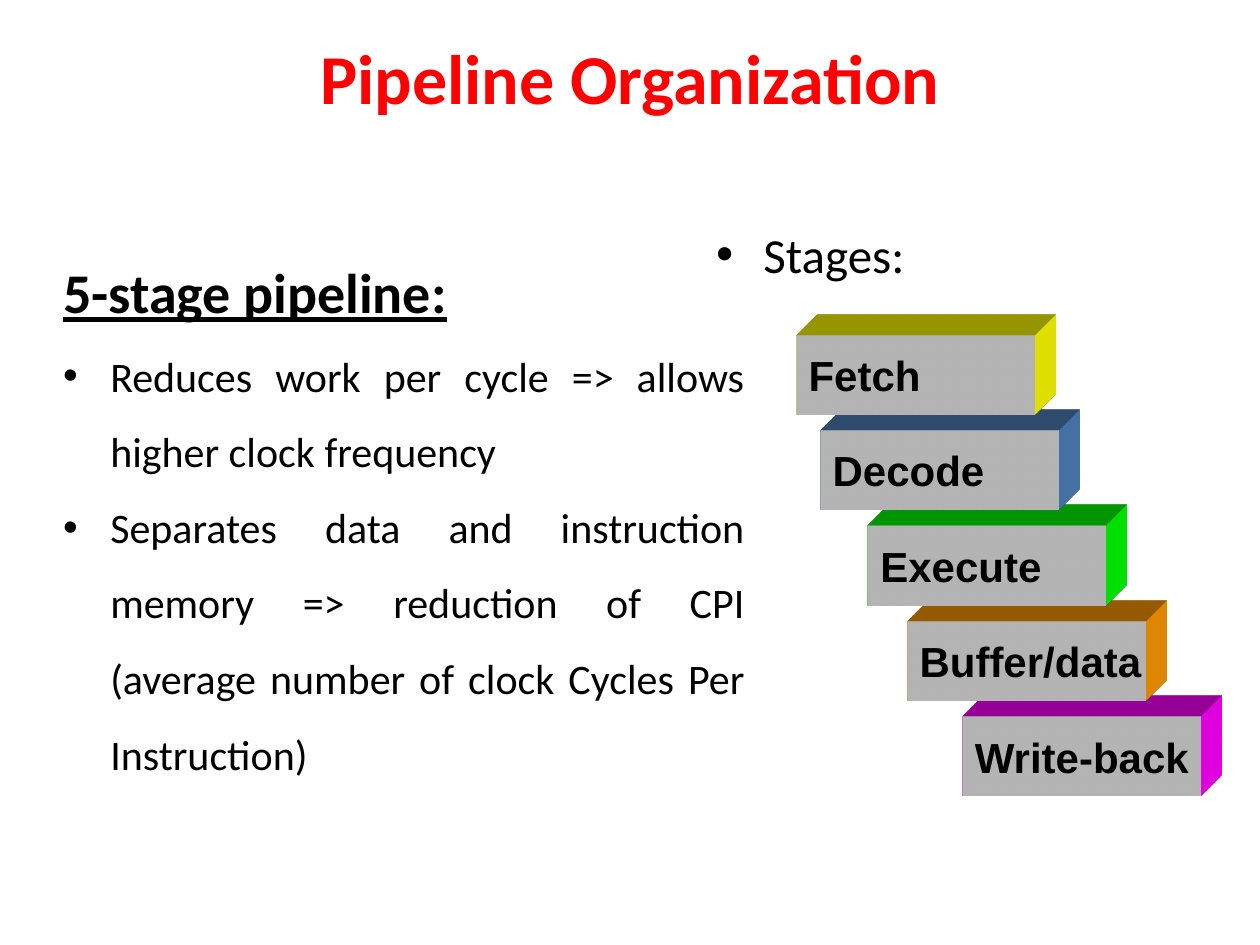
from lxml.etree import SubElement
from pptx import Presentation
from pptx.dml.color import RGBColor
from pptx.enum.shapes import MSO_SHAPE
from pptx.enum.text import MSO_ANCHOR, MSO_AUTO_SIZE, PP_ALIGN
from pptx.oxml import parse_xml
from pptx.oxml.ns import qn
from pptx.util import Pt

COLORS = {
    "title": "FF0000", "text": "000000", "face": "FFFFFF",
    "fetch": "FFFF00", "decode": "4F81BD", "execute": "00FF00",
    "buffer": "FF9900", "write": "FF00FF",
}
# Label, left offset from the first block, extrusion colour
STAGES = [
    ("Fetch", 0, "fetch"),
    ("Decode", 13.7, "decode"),
    ("Execute", 41, "execute"),
    ("Buffer/data", 63.4, "buffer"),
    ("Write-back", 95, "write"),
]
DRAWING_NS = "http://schemas.openxmlformats.org/drawingml/2006/main"


def place(part, box):
    part.left, part.top, part.width, part.height = map(Pt, box)


def add_text(paragraph, text, size, color="text", font="Calibri", bold=False, underline=False):
    run = paragraph.add_run()
    run.text = text
    run.font.name, run.font.size = font, Pt(size)
    run.font.bold, run.font.underline = bold, underline
    run.font.color.rgb = RGBColor.from_string(COLORS[color])


def set_bullet(paragraph, shown=True):
    properties = paragraph._p.get_or_add_pPr()
    indent = Pt(27) if shown else 0
    properties.set("marL", str(indent))
    properties.set("indent", str(-indent))
    if shown:
        SubElement(properties, qn("a:buFont"), typeface="Arial")
        SubElement(properties, qn("a:buChar"), char="•")
    else:
        SubElement(properties, qn("a:buNone"))
    paragraph.space_before = Pt(0)


def add_title(title, box):
    place(title, box)
    frame = title.text_frame
    frame.auto_size = MSO_AUTO_SIZE.NONE
    frame.vertical_anchor = MSO_ANCHOR.MIDDLE
    heading = frame.paragraphs[0]
    heading.alignment = PP_ALIGN.CENTER
    add_text(heading, "Pipeline Organization", 40, "title", bold=True)


def add_benefits(body, box):
    place(body, box)
    frame = body.text_frame
    frame.auto_size = MSO_AUTO_SIZE.NONE
    heading = frame.paragraphs[0]
    set_bullet(heading, shown=False)
    add_text(heading, "5-stage pipeline:", 32, bold=True, underline=True)

    frequency = frame.add_paragraph()
    set_bullet(frequency)
    add_text(frequency, "Reduces work per cycle => allows higher clock frequency", 24)

    memory = frame.add_paragraph()
    set_bullet(memory)
    add_text(memory, "Separates data and instruction memory => reduction of CPI", 24)
    memory.add_line_break()
    add_text(memory, "(average number of clock Cycles Per Instruction)", 24)

    for paragraph in frame.paragraphs:
        paragraph.alignment = PP_ALIGN.JUSTIFY
        paragraph.line_spacing = 1.5


def add_stages_heading(body, box):
    place(body, box)
    body.text_frame.auto_size = MSO_AUTO_SIZE.NONE
    heading = body.text_frame.paragraphs[0]
    set_bullet(heading)
    add_text(heading, "Stages:", 28)


def extrude(block, color):
    """Give the block an oblique depth towards the top right."""
    scene = (
        f'<a:scene3d xmlns:a="{DRAWING_NS}"><a:camera prst="legacyObliqueTopRight"/>'
        '<a:lightRig rig="legacyFlat3" dir="b"/></a:scene3d>'
    )
    depth = (
        f'<a:sp3d xmlns:a="{DRAWING_NS}" extrusionH="{Pt(33.87)}" prstMaterial="legacyMatte">'
        f'<a:extrusionClr><a:srgbClr val="{COLORS[color]}"/></a:extrusionClr></a:sp3d>'
    )
    for xml in (scene, depth):
        block._element.spPr.append(parse_xml(xml))


def add_stage_blocks(slide, box):
    left, top, width, height = box
    block_width, block_height = 136, 45.4
    step = (height - block_height) / (len(STAGES) - 1)
    # Lowest stage first, so that each stage overlaps the next
    for row, (label, offset, color) in reversed(list(enumerate(STAGES))):
        block = slide.shapes.add_shape(
            MSO_SHAPE.RECTANGLE, Pt(left + offset), Pt(top + row * step),
            Pt(block_width), Pt(block_height))
        block.shadow.inherit = False
        block.fill.solid()
        block.fill.fore_color.rgb = RGBColor.from_string(COLORS["face"])
        block.line.fill.background()
        extrude(block, color)
        frame = block.text_frame
        frame.word_wrap = False
        frame.vertical_anchor = MSO_ANCHOR.MIDDLE
        name = frame.paragraphs[0]
        name.alignment = PP_ALIGN.LEFT
        add_text(name, label, 24, font="Arial", bold=True)


def main():
    deck = Presentation()
    deck.slide_width, deck.slide_height = Pt(720), Pt(540)
    slide = deck.slides.add_slide(deck.slide_layouts[3])
    title, benefits, stages = slide.placeholders
    add_title(title, (20, 9.5, 680, 68))
    add_benefits(benefits, (28.8, 124.5, 404, 357))
    add_stages_heading(stages, (402, 124.5, 318, 357))
    add_stage_blocks(slide, (455, 191.5, 231, 263.4))
    deck.save("out.pptx")


if __name__ == "__main__":
    main()
